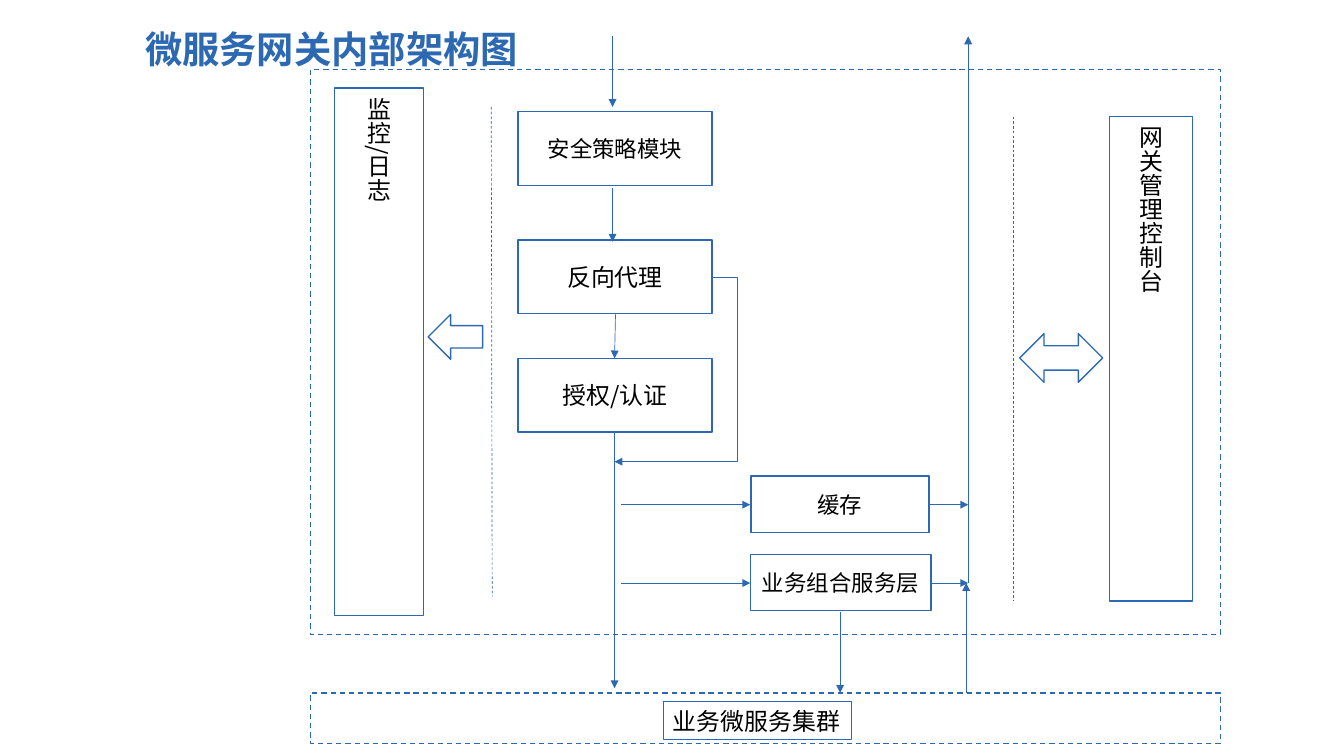
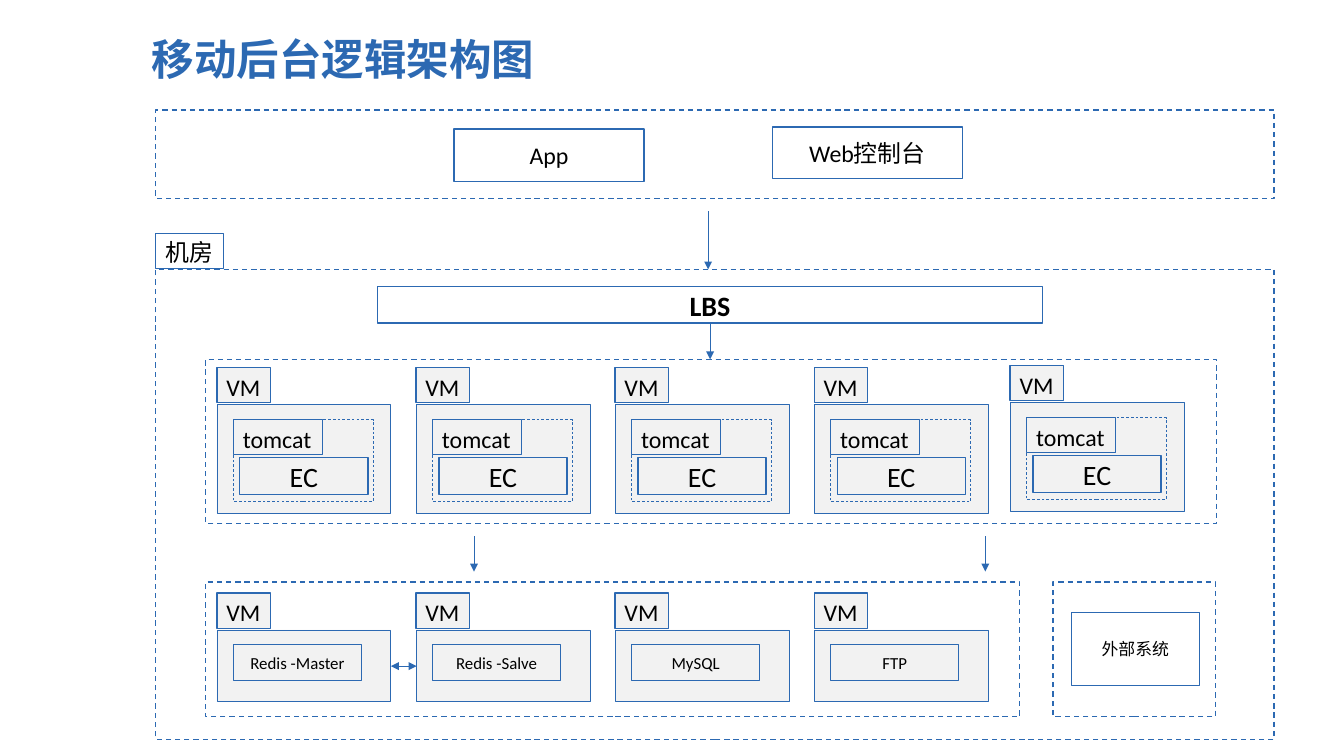
"""Build two architecture diagrams: a microservice gateway and a mobile backend."""
from lxml import etree
from pptx import Presentation
from pptx.dml.color import RGBColor
from pptx.enum.dml import MSO_LINE
from pptx.enum.shapes import MSO_CONNECTOR as CONN, MSO_SHAPE as SHAPE
from pptx.enum.text import MSO_ANCHOR as ANCHOR, MSO_AUTO_SIZE as AUTO, PP_ALIGN as ALIGN
from pptx.oxml.ns import qn
from pptx.util import Pt

BLUE = RGBColor(0x2C, 0x69, 0xB2)
GREY = RGBColor(0xF2, 0xF2, 0xF2)
BLACK = RGBColor(0, 0, 0)
LATIN, CJK = "Calibri", "Noto Sans CJK SC"


def box(s, x, y, w, h, text="", size=18, line=1, dash=False, fill=None,
        tag=False, vert=False, bold=False, kind=SHAPE.RECTANGLE, font=LATIN):
    sp = s.shapes.add_shape(kind, Pt(x), Pt(y), Pt(w), Pt(h))
    sp.shadow.inherit = False
    sp.line.color.rgb = BLUE
    sp.line.width = Pt(line)
    if dash:
        sp.line.dash_style = MSO_LINE.DASH
    if fill is None:
        sp.fill.background()
    else:
        sp.fill.solid()
        sp.fill.fore_color.rgb = fill
    if not text:
        return
    tf = sp.text_frame
    fmt = {"word_wrap": not tag,
           "auto_size": AUTO.SHAPE_TO_FIT_TEXT if tag else AUTO.NONE,
           "vertical_anchor": ANCHOR.TOP if tag else ANCHOR.MIDDLE}
    for k, v in fmt.items():
        setattr(tf, k, v)
    if vert:
        tf._txBody.bodyPr.set("vert", "eaVert")
    p = tf.paragraphs[0]
    p.alignment = ALIGN.LEFT if tag else ALIGN.CENTER
    r = p.add_run()
    r.text = text
    for k, v in {"name": font, "size": Pt(size), "bold": bold}.items():
        setattr(r.font, k, v)
    r.font.color.rgb = BLACK
    etree.SubElement(r._r.get_or_add_rPr(), qn("a:ea")).set("typeface", CJK)


def line(s, x1, y1, x2, y2, ends=("tailEnd",), dash=False, bend=None):
    kind = CONN.STRAIGHT if bend is None else CONN.ELBOW
    c = s.shapes.add_connector(kind, Pt(x1), Pt(y1), Pt(x2), Pt(y2))
    c.line.color.rgb = BLUE
    c.line.width = Pt(0.5)
    if dash:
        c.line.dash_style = MSO_LINE.DASH
    for end in ends:
        etree.SubElement(c.line._get_or_add_ln(), qn("a:" + end)).set("type", "triangle")
    spPr = c._element.spPr
    etree.SubElement(spPr, qn("a:effectLst"))
    if bend is not None:
        gd = etree.SubElement(spPr.find(qn("a:prstGeom")).find(qn("a:avLst")), qn("a:gd"))
        gd.set("name", "adj1")
        gd.set("fmla", f"val {bend}")


prs = Presentation()
prs.slide_width, prs.slide_height = Pt(1012.5), Pt(569.5)

titles = [
    ("微服务网关内部架构图", 28.1, CJK, 102.2, -7.9, 365, 58.3),
    ("移动后台逻辑架构图", 32, "Montserrat", 107.3, 1.4, 378.7, 59.8),
]
for text, size, font, x, y, w, h in titles:
    s = prs.slides.add_slide(prs.slide_layouts[5])
    sp = s.shapes.title
    for k, v in {"left": x, "top": y, "width": w, "height": h}.items():
        setattr(sp, k, Pt(v))
    tf = sp.text_frame
    for k, v in {"word_wrap": True, "auto_size": AUTO.NONE, "vertical_anchor": ANCHOR.TOP}.items():
        setattr(tf, k, v)
    p = tf.paragraphs[0]
    p.alignment = ALIGN.LEFT
    p.line_spacing = Pt(58)
    r = p.add_run()
    r.text = text
    for k, v in {"name": font, "size": Pt(size), "bold": True}.items():
        setattr(r.font, k, v)
    r.font.color.rgb = BLUE
    etree.SubElement(r._r.get_or_add_rPr(), qn("a:ea")).set("typeface", CJK)

gateway, backend = prs.slides

for y, h in [(52.6, 425.5), (522, 38.2)]:
    box(gateway, 234, y, 685.4, h, dash=True)
for text, x, y, w, h in [("监控/日志", 252, 66.2, 67, 397.4),
                         ("网关管理控制台", 835.9, 87.8, 62.6, 365)]:
    box(gateway, x, y, w, h, text, vert=True, font=CJK)
for text, x, y, w, h, size in [
    ("安全策略模块", 390.2, 84.2, 146.2, 55.4, 16.9),
    ("反向代理", 390.2, 180.7, 146.2, 55.4, 18),
    ("授权/认证", 390.2, 270, 146.2, 55.4, 18),
    ("缓存", 565.9, 358.6, 133.9, 42.5, 16.9),
    ("业务组合服务层", 565.2, 417.6, 136.1, 42.5, 16.9),
]:
    box(gateway, x, y, w, h, text, size, font=CJK)
box(gateway, 499.7, 528.5, 141.8, 28.8, "业务微服务集群", line=0.75, tag=True)
box(gateway, 322.6, 236.9, 41, 33.8, kind=SHAPE.LEFT_ARROW)
box(gateway, 768.2, 251.3, 62.6, 36.7, kind=SHAPE.LEFT_RIGHT_ARROW)

for ends in [
    (461.5, 27.4, 461.5, 80.6),
    (461.5, 141.8, 461.5, 182.2),
    (463.7, 236.9, 463, 270),
    (463, 326.2, 463, 518.4),
    (468, 380.2, 565.2, 380.2),
    (468, 439.2, 565.2, 439.2),
    (699.8, 380.2, 729.4, 380.2),
    (701.3, 439.2, 729.4, 439.2),
    (632.9, 460.8, 632.9, 522),
    (727.9, 522, 727.9, 439.2),
    (729.4, 439.2, 729.4, 27.4),
]:
    line(gateway, *ends)
line(gateway, 536.4, 208.8, 463, 347.8, bend=-25900)
line(gateway, 370.1, 80.6, 370.8, 449.3, ends=(), dash=True)
line(gateway, 763.2, 87.8, 763.2, 452.9, ends=(), dash=True)

for frame in [
    (117.4, 82.8, 842.4, 67),
    (117.4, 203, 842.4, 354.2),
    (154.8, 270.7, 761.8, 123.8),
    (154.8, 438.5, 613.4, 101.5),
    (793.4, 438.5, 122.4, 101.5),
]:
    box(backend, *frame, dash=True)
box(backend, 117.4, 175.7, 51.1, 26.6, "机房", line=0.75, tag=True)
box(backend, 342, 97.2, 143.3, 39.6, "App")
box(backend, 581.8, 95.8, 143.3, 38.9, "Web控制台")
box(backend, 284.4, 216, 501.1, 27.4, "LBS", 21.1, bold=True)
box(backend, 807.1, 461.5, 96.5, 54.7, "外部系统", 12.7)

columns = [163.4 + 150 * i for i in range(4)]
app_nodes = [(x, 304.6, 82.1, None) for x in columns] + [(761, 303.1, 82.1, None)]
stores = ["Redis -Master", "Redis -Salve", "MySQL", "FTP"]
store_nodes = [(x, 474.5, 54, name) for x, name in zip(columns, stores)]
for x, y, h, name in app_nodes + store_nodes:
    box(backend, x, y, 131, h, line=0.5, fill=GREY)
    box(backend, x, y - 27.7, 40.3, 26.6, "VM", fill=GREY, tag=True)
    if name:
        box(backend, x + 12.5, y + 10.8, 96.5, 27.4, name, 12.7)
    else:
        box(backend, x + 17.3, y + 40.3, 96.5, 27.4, "EC", 21.1)
        box(backend, x + 12.5, y + 11.5, 105.1, 61.9, line=0.5, dash=True)
        box(backend, x + 12.5, y + 11.5, 67, 26.6, "tomcat", line=0.75, tag=True)

for x, y1, y2 in [(533.5, 159.1, 203), (535, 244.1, 270.7),
                  (357.1, 403.9, 430.6), (742.3, 403.9, 430.6)]:
    line(backend, x, y1, x, y2)
line(backend, 294.5, 501.8, 313.9, 501.8, ends=("headEnd", "tailEnd"))

prs.save("out.pptx")
